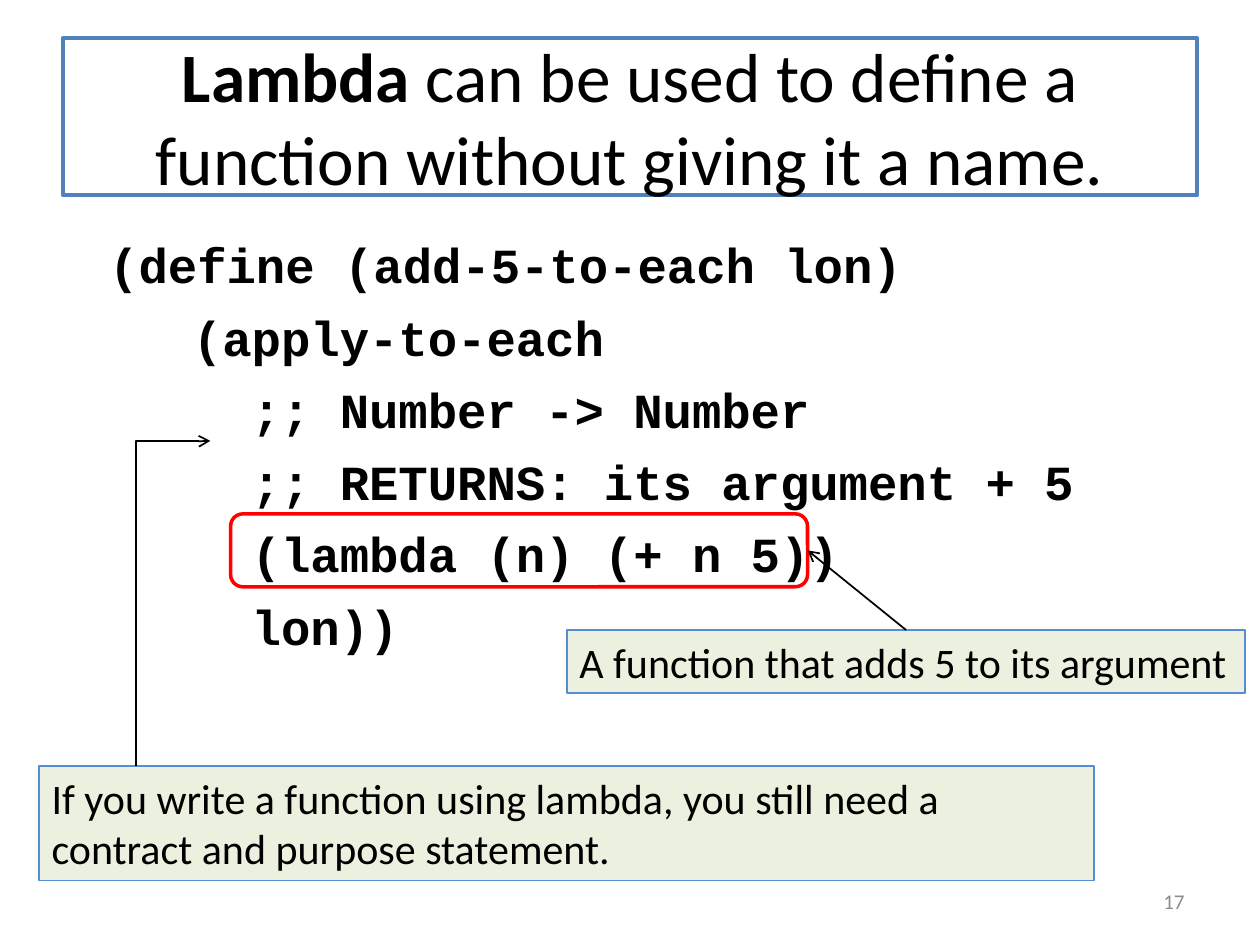
import pptx
import pptx.dml.color
import pptx.enum.shapes
import pptx.enum.text
import pptx.oxml
import pptx.oxml.ns
import pptx.util
from lxml import etree

Cm = pptx.util.Cm
Pt = pptx.util.Pt
qn = pptx.oxml.ns.qn
PP_ALIGN = pptx.enum.text.PP_ALIGN
ANCHOR = pptx.enum.text.MSO_ANCHOR
CONNECTOR = pptx.enum.shapes.MSO_CONNECTOR


def rgb(value):
    return pptx.dml.color.RGBColor.from_string(value)


def box(left, top, width, height):
    return Cm(left), Cm(top), Cm(width), Cm(height)


class LambdaSlide:
    text_font = "Calibri"
    code_font = "Courier New"
    ink = "000000"
    title_line = "4F81BD"
    note_fill = "EBF1DE"
    note_line = "558ED5"
    highlight = "FF0000"
    muted = "8C8C8C"

    def __init__(self, presentation):
        self.slide = presentation.slides.add_slide(presentation.slide_layouts[1])

    def set_font(self, font, name, size, color, bold=None):
        font.name = name
        font.size = Pt(size)
        font.color.rgb = rgb(color)
        font.bold = bold

    def outline(self, shape, color, width):
        shape.line.color.rgb = rgb(color)
        shape.line.width = Pt(width)

    def place(self, shape, left, top, width, height):
        shape.left, shape.top, shape.width, shape.height = box(left, top, width, height)
        shape.text_frame.auto_size = pptx.enum.text.MSO_AUTO_SIZE.NONE

    def title(self, keyword, rest, *bounds):
        title = self.slide.shapes.title
        self.place(title, *bounds)
        title.fill.solid()
        title.fill.fore_color.rgb = rgb("FFFFFF")
        self.outline(title, self.title_line, 2.25)
        title.text_frame.vertical_anchor = ANCHOR.MIDDLE
        paragraph = title.text_frame.paragraphs[0]
        paragraph.alignment = PP_ALIGN.CENTER
        self.set_font(paragraph.font, self.text_font, 39.6, self.ink)
        for words, bold in ((keyword, True), (rest, False)):
            run = paragraph.add_run()
            run.text = words
            run.font.bold = bold

    def code(self, lines, *bounds):
        """Fill the body with code; the first line opens with a wider space."""
        body = self.slide.placeholders[1]
        self.place(body, *bounds)
        frame = body.text_frame
        for number, line in enumerate(lines):
            paragraph = frame.add_paragraph() if number else frame.paragraphs[0]
            paragraph.space_before = Pt(7.6 if number else 0)
            properties = paragraph._p.get_or_add_pPr()
            properties.set("marL", str(Cm(0.95)))
            properties.set("indent", str(-Cm(0.95)))
            etree.SubElement(properties, qn("a:buNone"))
            if number:
                self.set_font(paragraph.font, self.code_font, 28, self.ink, True)
                paragraph.add_run().text = line
            else:
                lead, words = paragraph.add_run(), paragraph.add_run()
                lead.text, words.text = line[:1], line[1:]
                self.set_font(lead.font, "Noto Sans Mono", 32, self.ink)
                self.set_font(words.font, self.code_font, 28, self.ink, True)

    def text(self, words, size, color, *bounds, wrap=True):
        text = self.slide.shapes.add_textbox(*box(*bounds))
        text.text_frame.word_wrap = wrap
        text.text_frame.text = words
        self.set_font(text.text_frame.paragraphs[0].font, self.text_font, size, color)
        return text

    def note(self, words, *bounds, wrap=True):
        note = self.text(words, 24, self.ink, *bounds, wrap=wrap)
        note.fill.solid()
        note.fill.fore_color.rgb = rgb(self.note_fill)
        self.outline(note, self.note_line, 1)
        return note

    def page_number(self, number, *bounds):
        page = self.text(number, 12, self.muted, *bounds)
        page.text_frame.vertical_anchor = ANCHOR.MIDDLE
        page.text_frame.paragraphs[0].alignment = PP_ALIGN.RIGHT

    def frame(self, *bounds):
        frame = self.slide.shapes.add_shape(
            pptx.enum.shapes.MSO_SHAPE.ROUNDED_RECTANGLE, *box(*bounds))
        frame.shadow.inherit = False
        frame.fill.background()
        self.outline(frame, self.highlight, 2)
        return frame

    def arrow(self, kind, start, end):
        arrow = self.slide.shapes.add_connector(
            kind, *(Cm(length) for length in (*start, *end)))
        self.outline(arrow, self.ink, 1)
        etree.SubElement(arrow.line._get_or_add_ln(), qn("a:tailEnd"), type="arrow")
        etree.SubElement(arrow._element.spPr, qn("a:effectLst"))
        return arrow

    def corner_arrow(self, start, tip):
        """Draw an arrow that goes up from start, then right to tip."""
        middle_x, middle_y = (start[0] + tip[0]) / 2, (start[1] + tip[1]) / 2
        half_rise, half_run = (start[1] - tip[1]) / 2, (tip[0] - start[0]) / 2
        # A quarter turn swaps the sides, so the box is laid out lying down.
        arrow = self.arrow(CONNECTOR.ELBOW,
                           (middle_x + half_rise, middle_y + half_run),
                           (middle_x - half_rise, middle_y - half_run))
        properties = arrow._element.spPr
        properties.find(qn("a:xfrm")).set("rot", "5400000")
        geometry = properties.find(qn("a:prstGeom"))
        adjustments = geometry.find(qn("a:avLst"))
        if adjustments is None:
            adjustments = etree.SubElement(geometry, qn("a:avLst"))
        etree.SubElement(adjustments, qn("a:gd"), name="adj1", fmla="val 99900")


def main():
    presentation = pptx.Presentation()
    presentation.slide_width, presentation.slide_height = Cm(25.4), Cm(19.05)
    page = LambdaSlide(presentation)
    page.title("Lambda", " can be used to define a function without giving it a name.",
               1.27, 0.76, 22.86, 3.18)
    page.code([
        " (define (add-5-to-each lon)",
        "    (apply-to-each",
        "      ;; Number -> Number",
        "      ;; RETURNS: its argument + 5",
        "      (lambda (n) (+ n 5))",
        "      lon))",
    ], 1.27, 4.45, 22.86, 12.57)
    page.page_number("17", 18.21, 17.65, 5.92, 1.02)
    page.note("If you write a function using lambda, you still need a contract "
              "and purpose statement.", 0.79, 15.44, 21.26, 2.31)
    lambda_frame = page.frame(4.65, 10.36, 11.63, 1.47)
    meaning = page.note("A function that adds 5 to its argument",
                        11.43, 12.7, 13.67, 1.27, wrap=False)
    pointer = page.arrow(CONNECTOR.STRAIGHT, (18.26, 12.7), (16.28, 11.1))
    pointer.begin_connect(meaning, 0)
    pointer.end_connect(lambda_frame, 3)
    page.corner_arrow((2.74, 15.44), (4.24, 8.89))
    presentation.save("out.pptx")


if __name__ == "__main__":
    main()
